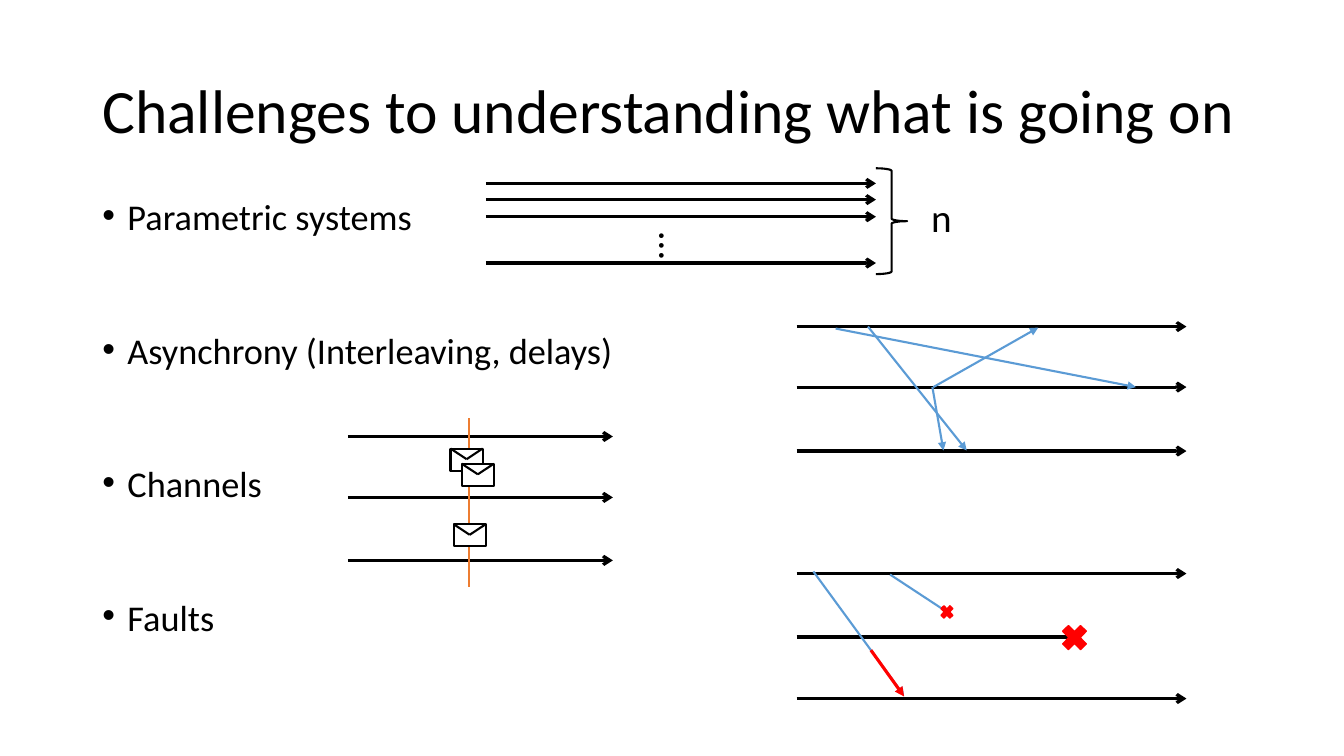
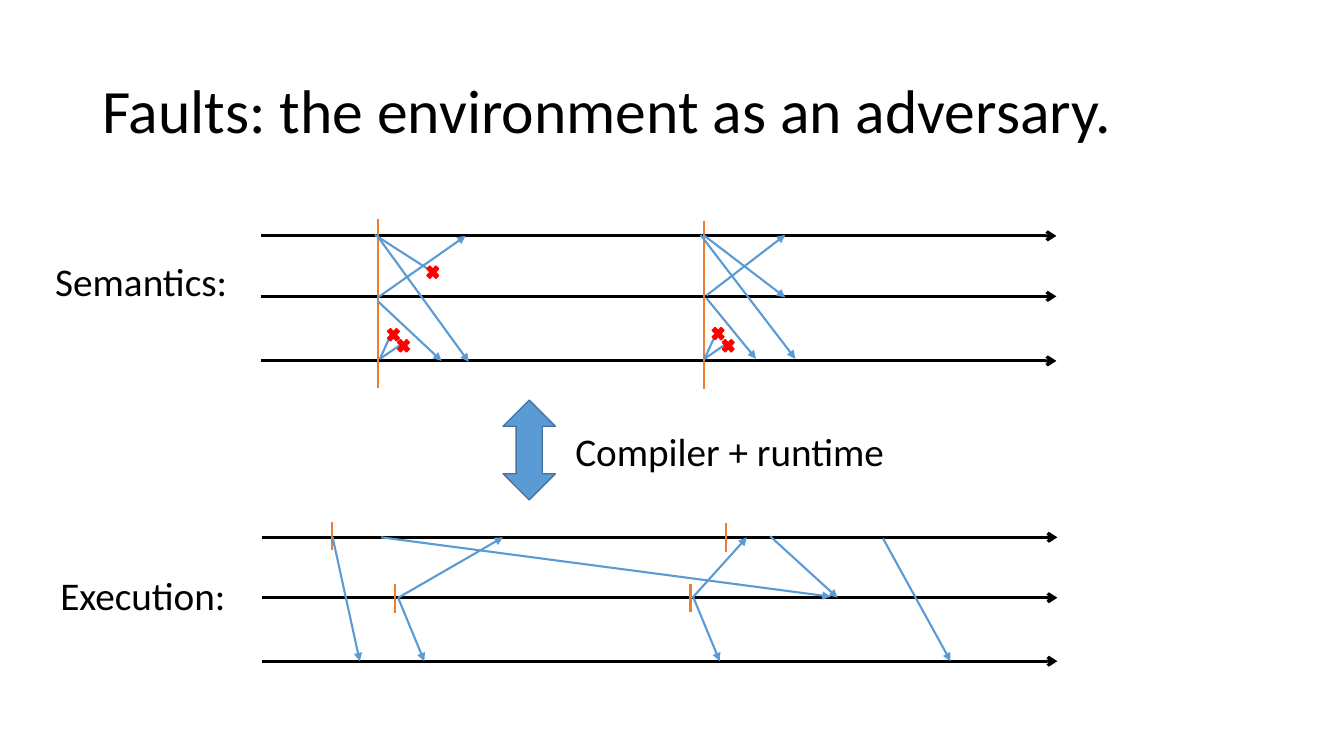
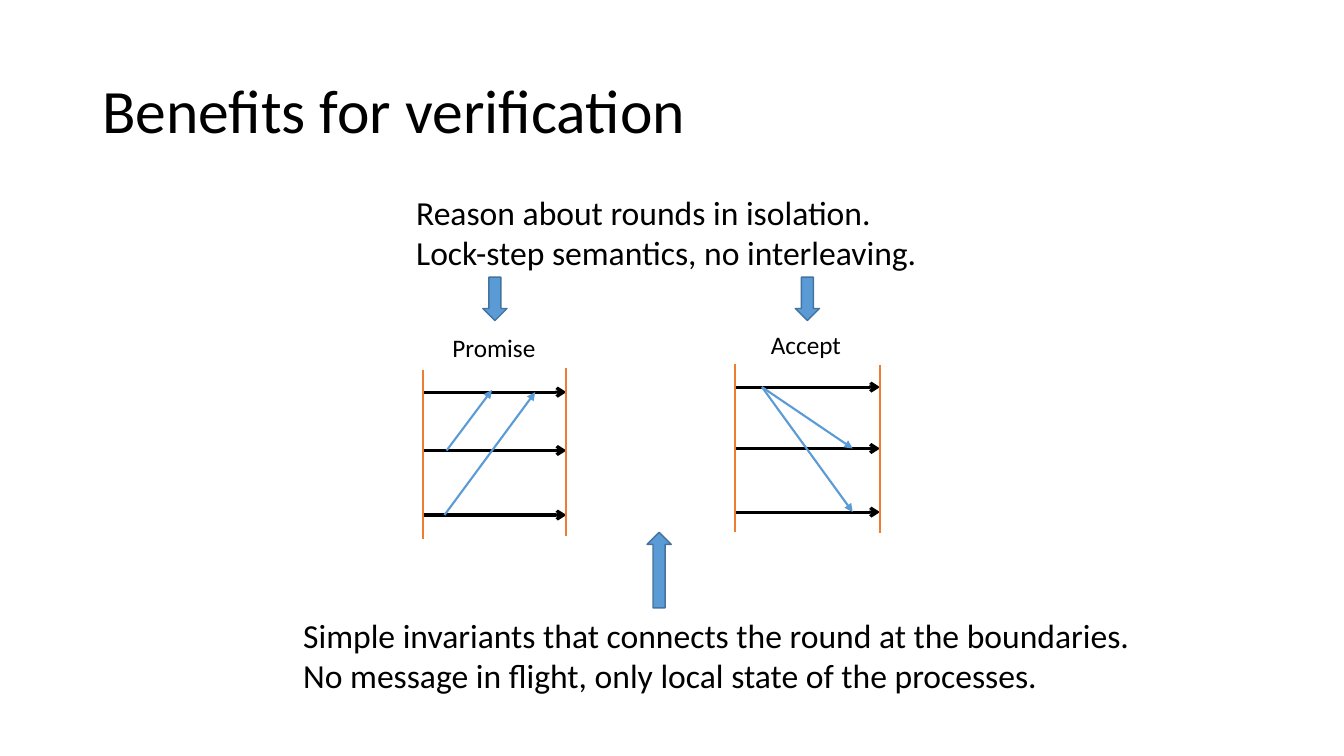
from lxml import etree
from pptx import Presentation, util as u
from pptx.dml.color import RGBColor
from pptx.enum import shapes, text
from pptx.oxml import ns

Pt = u.Pt
HUES = {"black": "000000", "white": "FFFFFF", "blue": "5B9BD5",
        "navy": "43739E", "orange": "ED7D31", "red": "FF0000"}
FONT = "Calibri"
KINDS = {"axis": ("black", 2.25, "arrow"), "halted": ("black", 2.25, None),
         "message": ("blue", 1.5, "triangle"), "lost": ("blue", 1.5, None),
         "late": ("red", 2.25, "triangle"), "round": ("orange", 1.5, None),
         "fold": ("black", 1.5, None)}
SHAPE = shapes.MSO_SHAPE


def link(slide, kind, x1, y1, x2, y2):
    hue, width, head = KINDS[kind]
    line = slide.shapes.add_connector(
        shapes.MSO_CONNECTOR.STRAIGHT, Pt(x1), Pt(y1), Pt(x2), Pt(y2))
    line.line.color.rgb = RGBColor.from_string(HUES[hue])
    line.line.width = Pt(width)
    props = line.element.spPr
    if head:
        etree.SubElement(props.find(ns.qn("a:ln")), ns.qn("a:tailEnd"), type=head)
    etree.SubElement(props, ns.qn("a:effectLst"))


def form(slide, kind, x, y, w, h, fill, edge, width=1):
    item = slide.shapes.add_shape(kind, Pt(x), Pt(y), Pt(w), Pt(h))
    item.shadow.inherit = False
    if fill:
        item.fill.solid()
        item.fill.fore_color.rgb = RGBColor.from_string(HUES[fill])
    else:
        item.fill.background()
    item.line.color.rgb = RGBColor.from_string(HUES[edge])
    item.line.width = Pt(width)


deck = Presentation()
deck.slide_width, deck.slide_height = Pt(960), Pt(540)

slides = []
for title in ("Challenges to understanding what is going on",
              "Faults: the environment as an adversary.",
              "Benefits for verification"):
    slide = deck.slides.add_slide(deck.slide_layouts[6])
    slides.append(slide)
    frame = slide.shapes.add_textbox(Pt(66), Pt(28.8), Pt(828), Pt(104.4)).text_frame
    frame.word_wrap = True
    frame.vertical_anchor = text.MSO_ANCHOR.MIDDLE
    para = frame.paragraphs[0]
    para.text = title
    para.line_spacing = 0.9
    para.font.name, para.font.size = FONT, Pt(44)
    para.font.color.rgb = RGBColor.from_string(HUES["black"])
themes, faults, proof = slides

frame = themes.shapes.add_textbox(Pt(66), Pt(144), Pt(828), Pt(342.7)).text_frame
frame.word_wrap = True
topics = ("Parametric systems", "Asynchrony (Interleaving, delays)",
          "Channels", "Faults")
for i, topic in enumerate(topics):
    para = frame.add_paragraph() if i else frame.paragraphs[0]
    para.text = topic
    para.line_spacing = 0.7
    para.space_after = Pt(73.5 if i < len(topics) - 1 else 0)
    para.font.name, para.font.size = FONT, Pt(25.9)
    para.font.color.rgb = RGBColor.from_string(HUES["black"])
    props = para._p.get_or_add_pPr()
    props.set("marL", str(Pt(18)))
    props.set("indent", str(Pt(-18)))
    etree.SubElement(props, ns.qn("a:buFont"), typeface="Arial")
    etree.SubElement(props, ns.qn("a:buChar"), char="•")

for slide, left, right, rows in (
        (themes, 569, 847.5, (233.3, 276.5, 322.2)),
        (themes, 347, 625.7, (131, 142.6, 154.8, 187.9)),
        (themes, 248.4, 437.8, (311.8, 355.3, 400.3)),
        (themes, 569, 847.5, (409.7, 499)),
        (faults, 186.5, 754.6, (168.5, 211.7, 257.8)),
        (faults, 187.2, 755.3, (383.8, 427, 472.3)),
        (proof, 302.4, 404.6, (280.1, 321.8, 367.9)),
        (proof, 524.9, 628.6, (276.5, 320.4, 365.8))):
    for y in rows:
        link(slide, "axis", left, y, right, y)
link(themes, "halted", 569, 455, 767.5, 455)

for slide, x, top, end in (
        (themes, 334.8, 298.8, 419),
        (faults, 270, 156.2, 277.2), (faults, 502.6, 157.7, 277.9),
        (faults, 236.9, 373, 393.1), (faults, 282.2, 416.9, 437.8),
        (faults, 518.4, 373.7, 394.6), (faults, 493.2, 416.9, 437),
        (proof, 302.4, 264.2, 385.2), (proof, 404.6, 262.8, 383),
        (proof, 524.9, 259.9, 380.2), (proof, 628.6, 260.6, 380.9)):
    link(slide, "round", x, top, x, end)

for slide, ends in (
        (themes, (
            (620, 233.3, 690.5, 321.8), (596.9, 234.7, 811.4, 276.5),
            (666, 276.5, 673.9, 321.8), (666.7, 276.5, 741.6, 234),
            (581, 408.2, 645.8, 496.8))),
        (faults, (
            (270, 169.2, 334.8, 258.5), (270, 212.4, 332.6, 168.5),
            (270, 215.3, 315.4, 257.8), (500.4, 167.8, 568.1, 256.3),
            (504.7, 211, 560.9, 167.8), (504.7, 213.1, 540, 256.3),
            (503.3, 168.5, 560.9, 212.4),
            (237.6, 383.8, 257, 472.3), (272.2, 383.8, 593.3, 426.2),
            (284.4, 427, 303.1, 472.3), (284.4, 427, 359.3, 383.8),
            (495.4, 427, 514.1, 472.3), (494.6, 427, 533.5, 383.8),
            (550.1, 383, 598.3, 427), (630.7, 384.5, 679, 472.3))),
        (proof, (
            (319, 321.8, 351.4, 278.6), (317.5, 367.9, 382.3, 280.1),
            (544.3, 276.5, 609.1, 320.4), (544.3, 276.5, 609.1, 365.8)))):
    for points in ends:
        link(slide, "message", *points)
link(themes, "late", 622.1, 464.4, 645.8, 497.5)

for slide, points in (
        (themes, (635.8, 410.4, 676.4, 437.1)),
        (faults, (267.8, 167.8, 309.2, 194.4)),
        (faults, (271.4, 256.3, 277.9, 241.9)),
        (faults, (271.4, 256.3, 287.3, 245.5)),
        (faults, (503.3, 256.3, 509.8, 241.9)),
        (faults, (503.3, 256.3, 519.8, 244.8))):
    link(slide, "lost", *points)

for slide, x, y, w, h in (
        (themes, 755.3, 442.8, 24.5, 25.2), (themes, 670.3, 430.6, 12.2, 13),
        (faults, 303.1, 187.9, 12.2, 13),
        (faults, 282.2, 240.5, 12.2, 13), (faults, 275, 232.6, 12.2, 13),
        (faults, 514.1, 240.5, 12.2, 13), (faults, 506.9, 231.8, 12.2, 13)):
    form(slide, SHAPE.MATH_MULTIPLY, x, y, w, h, "red", "red")

for x, y in ((321.8, 320.4), (329.8, 331.2), (324, 374.4)):
    form(themes, SHAPE.RECTANGLE, x, y, 23, 15.8, "white", "black", 1.5)
    for side in (x, x + 23):
        link(themes, "fold", side, y, x + 11.5, y + 7.6)

form(themes, SHAPE.RIGHT_BRACE, 625.7, 120.2, 22.3, 75.6, None, "black", 1.5)
for slide, kind, x, y, w, h in (
        (faults, SHAPE.UP_DOWN_ARROW, 359.3, 285.8, 37.4, 71.3),
        (proof, SHAPE.UP_ARROW, 462.2, 380.2, 17.3, 54),
        (proof, SHAPE.DOWN_ARROW, 568.1, 198, 17.3, 31),
        (proof, SHAPE.DOWN_ARROW, 344.9, 198, 17.3, 31)):
    form(slide, kind, x, y, w, h, "blue", "navy")

for slide, x, y, w, h, size, words in (
        (themes, 454.3, 159.1, 48.2, 26.6, 28, ["…"]),
        (themes, 658.1, 134.6, 29.5, 41, 28, ["n"]),
        (faults, 32.4, 180, 139, 41, 28, ["Semantics:"]),
        (faults, 36, 404.6, 133.9, 41, 28, ["Execution:"]),
        (faults, 403.9, 301.7, 237.6, 41, 28, ["Compiler + runtime"]),
        (proof, 316.1, 234, 74.2, 28.8, 18, ["Promise"]),
        (proof, 543.6, 231.8, 64.8, 28.8, 18, ["Accept"]),
        (proof, 290.2, 133.2, 376.6, 65.5, 24,
         ["Reason about rounds in isolation.",
          "Lock-step semantics, no interleaving."]),
        (proof, 209.5, 435.6, 609.8, 65.5, 24,
         ["Simple invariants that connects the round at the boundaries.",
          "No message in flight, only local state of the processes."])):
    frame = slide.shapes.add_textbox(Pt(x), Pt(y), Pt(w), Pt(h)).text_frame
    frame.word_wrap = False
    if words == ["…"]:
        frame._txBody.bodyPr.set("vert", "vert")
    for i, line in enumerate(words):
        para = frame.add_paragraph() if i else frame.paragraphs[0]
        para.text = line
        para.font.name, para.font.size = FONT, Pt(size)
        para.font.color.rgb = RGBColor.from_string(HUES["black"])

deck.save("out.pptx")
